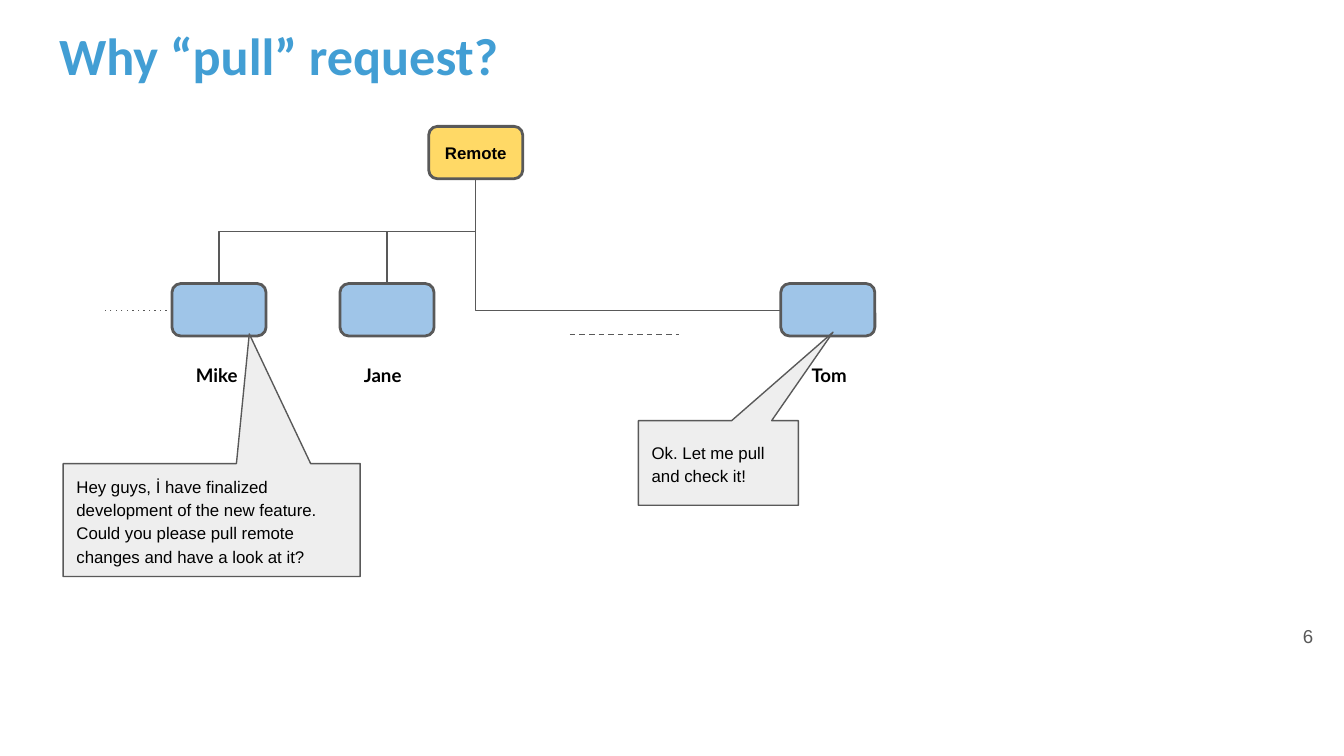
from pptx import Presentation
from pptx.dml.color import RGBColor
from pptx.enum.shapes import MSO_CONNECTOR, MSO_SHAPE
from pptx.enum.text import MSO_ANCHOR, MSO_AUTO_SIZE, PP_ALIGN
from pptx.oxml.ns import qn
from pptx.oxml.xmlchemy import OxmlElement
from pptx.util import Emu, Pt

PX = 9144  # 100 px to the inch
SLIDE_W = 1000
SLIDE_H = SLIDE_W * 9 / 16
TITLE_BLUE = RGBColor(0x42, 0x9E, 0xD4)
GRAY = RGBColor(0x59, 0x59, 0x59)
BLUE = RGBColor(0x9F, 0xC5, 0xE8)
YELLOW = RGBColor(0xFF, 0xD9, 0x66)
PALE = RGBColor(0xEE, 0xEE, 0xEE)
BLACK = RGBColor(0, 0, 0)
WHITE = RGBColor(0xFF, 0xFF, 0xFF)

TOP, MIDDLE = MSO_ANCHOR.TOP, MSO_ANCHOR.MIDDLE
LEFT, CENTER, RIGHT = PP_ALIGN.LEFT, PP_ALIGN.CENTER, PP_ALIGN.RIGHT
STRAIGHT, ELBOW = MSO_CONNECTOR.STRAIGHT, MSO_CONNECTOR.ELBOW
ROUNDED, CALLOUT = MSO_SHAPE.ROUNDED_RECTANGLE, MSO_SHAPE.ROUNDED_RECTANGULAR_CALLOUT

NODE_W, NODE_H = 70, 39
NODE_Y, LABEL_Y = 211, 261


def emu(*lengths):
    return [Emu(round(n * PX)) for n in lengths]


def set_text(sp, text, font="Arial", size=9, color=BLACK, bold=False,
             align=LEFT, anchor=TOP, spacing=1.0, wrap=True):
    tf = sp.text_frame
    tf.word_wrap = wrap
    tf.auto_size = MSO_AUTO_SIZE.NONE
    tf.vertical_anchor = anchor
    tf.margin_left = tf.margin_right = tf.margin_top = tf.margin_bottom = Emu(10 * PX)
    p = tf.paragraphs[0]
    p.alignment = align
    p.line_spacing = spacing
    r = p.add_run()
    r.text = text
    r.font.name, r.font.size = font, Pt(size)
    r.font.bold, r.font.color.rgb = bold, color


def add_text(s, box, text, **fmt):
    set_text(s.shapes.add_textbox(*emu(*box)), text, **fmt)


def add_box(s, kind, box, fill, width):
    sp = s.shapes.add_shape(kind, *emu(*box))
    sp.shadow.inherit = False
    sp.fill.solid()
    sp.fill.fore_color.rgb = fill
    sp.line.color.rgb = GRAY
    sp.line.width = Pt(width)
    return sp


def add_node(s, x, y, fill):
    return add_box(s, ROUNDED, (x, y, NODE_W, NODE_H), fill, 1.5)


def add_callout(s, box, tip, text):
    """Callout whose tip is given relative to the box centre."""
    sp = add_box(s, CALLOUT, box, PALE, 0.75)
    sp.adjustments[0] = tip[0] / box[2]
    sp.adjustments[1] = tip[1] / box[3]
    sp.adjustments[2] = 0
    set_text(sp, text, anchor=MIDDLE, spacing=1.15)


def add_line(s, kind, x1, y1, x2, y2, dash="solid"):
    c = s.shapes.add_connector(kind, *emu(x1, y1, x2, y2))
    c.line.color.rgb = GRAY
    c.line.width = Pt(0.75)
    prst_dash = OxmlElement("a:prstDash")
    prst_dash.set("val", dash)
    c.line._get_or_add_ln().append(prst_dash)
    c._element.spPr.append(OxmlElement("a:effectLst"))
    return c


def turn(c, degrees):
    c._element.spPr.find(qn("a:xfrm")).set("rot", str(degrees * 60000))


def add_riser(s, x1, y1, x2, y2):
    """Elbow that leaves upward: a sideways elbow turned about its centre."""
    cx, cy = (x1 + x2) / 2, (y1 + y2) / 2
    half_w, half_h = (y1 - y2) / 2, (x2 - x1) / 2
    c = add_line(s, ELBOW, cx - half_w, cy - half_h, cx + half_w, cy + half_h)
    turn(c, 270)


def add_corner(s, x1, y1, x2, y2):
    """One-bend elbow that leaves to the left, then goes up."""
    c = add_line(s, ELBOW, x2, y2, x1, y1)
    c._element.spPr.find(qn("a:prstGeom")).set("prst", "bentConnector2")
    turn(c, 180)


def add_title(s, box, text):
    title = s.shapes.title
    title.left, title.top, title.width, title.height = emu(*box)
    set_text(title, text, font="Calibri", size=28, color=TITLE_BLUE, bold=True)


def add_network(s, x, y):
    """Remote at x, y with the three developers below it."""
    root_x, root_y = x + NODE_W / 2, y + NODE_H + 1
    people = {"Mike": (128, 8), "Jane": (253, 8), "Tom": (581, 13)}
    for name, (left, indent) in people.items():
        add_node(s, left, NODE_Y, BLUE)
        add_text(s, (left + indent, LABEL_Y, 54, 39), name,
                 font="Lato", size=10, bold=True, wrap=False)
    remote = add_node(s, x, y, YELLOW)
    set_text(remote, "Remote", bold=True, anchor=MIDDLE, align=CENTER, wrap=False)

    # Links to the remote
    for name in ("Mike", "Jane"):
        add_riser(s, people[name][0] + NODE_W / 2, NODE_Y, root_x, root_y)
    mid_y = NODE_Y + 20
    add_corner(s, people["Tom"][0], mid_y, root_x, root_y)

    # Further developers
    add_line(s, STRAIGHT, people["Mike"][0], mid_y, 78, mid_y, "dot")
    add_line(s, STRAIGHT, 424, 249, 505, 249, "dash")


def main():
    prs = Presentation()
    prs.slide_width, prs.slide_height = emu(SLIDE_W, SLIDE_H)
    s = prs.slides.add_slide(prs.slide_layouts[5])
    s.background.fill.solid()
    s.background.fill.fore_color.rgb = WHITE

    add_title(s, (34, 7, 932, 63), "Why “pull” request?")
    add_text(s, (927, 452, 60, 43), "6", size=10, color=GRAY, align=RIGHT, anchor=MIDDLE)
    add_network(s, 319, 94)
    add_callout(s, (47, 345, 221, 84), (28, -138.5),
                "Hey guys, İ have finalized development of the new feature. "
                "Could you please pull remote changes and have a look at it?")
    add_callout(s, (475, 313, 119, 63), (85.3, -97.3), "Ok. Let me pull and check it!")
    prs.save("out.pptx")


if __name__ == "__main__":
    main()
